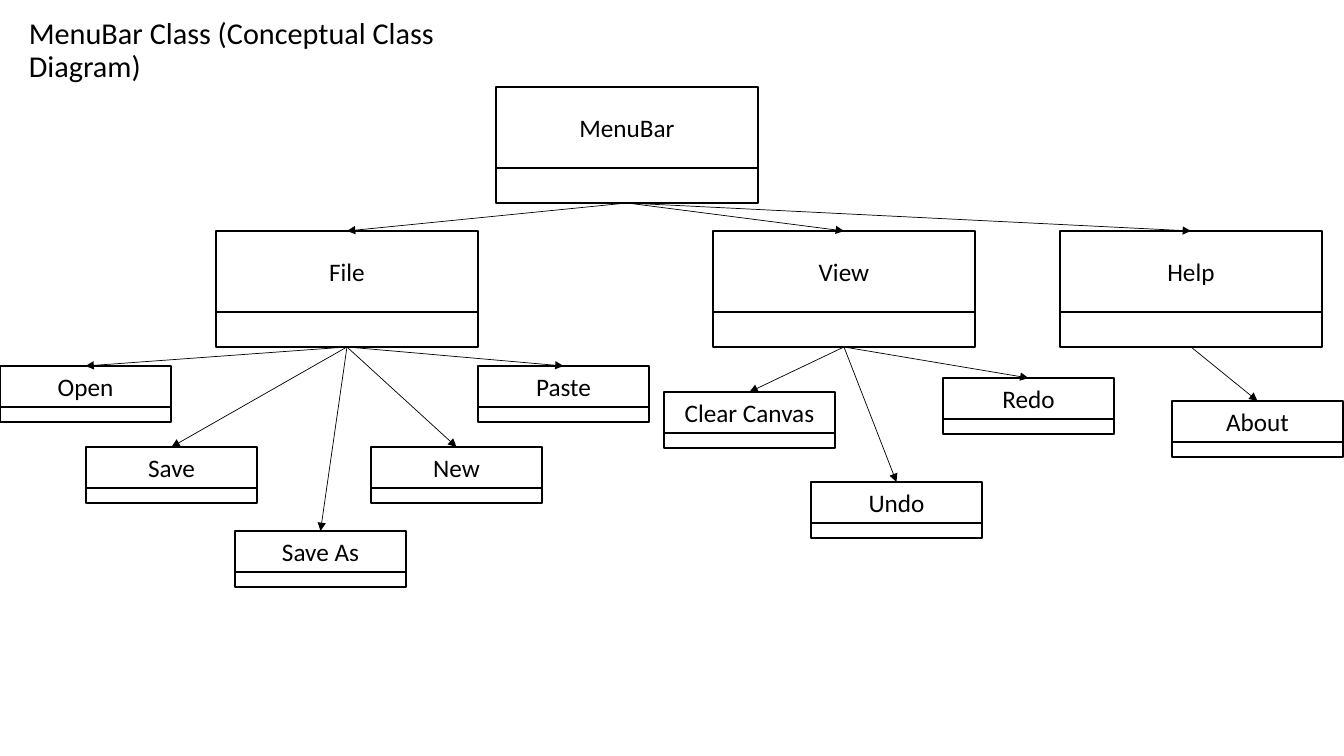
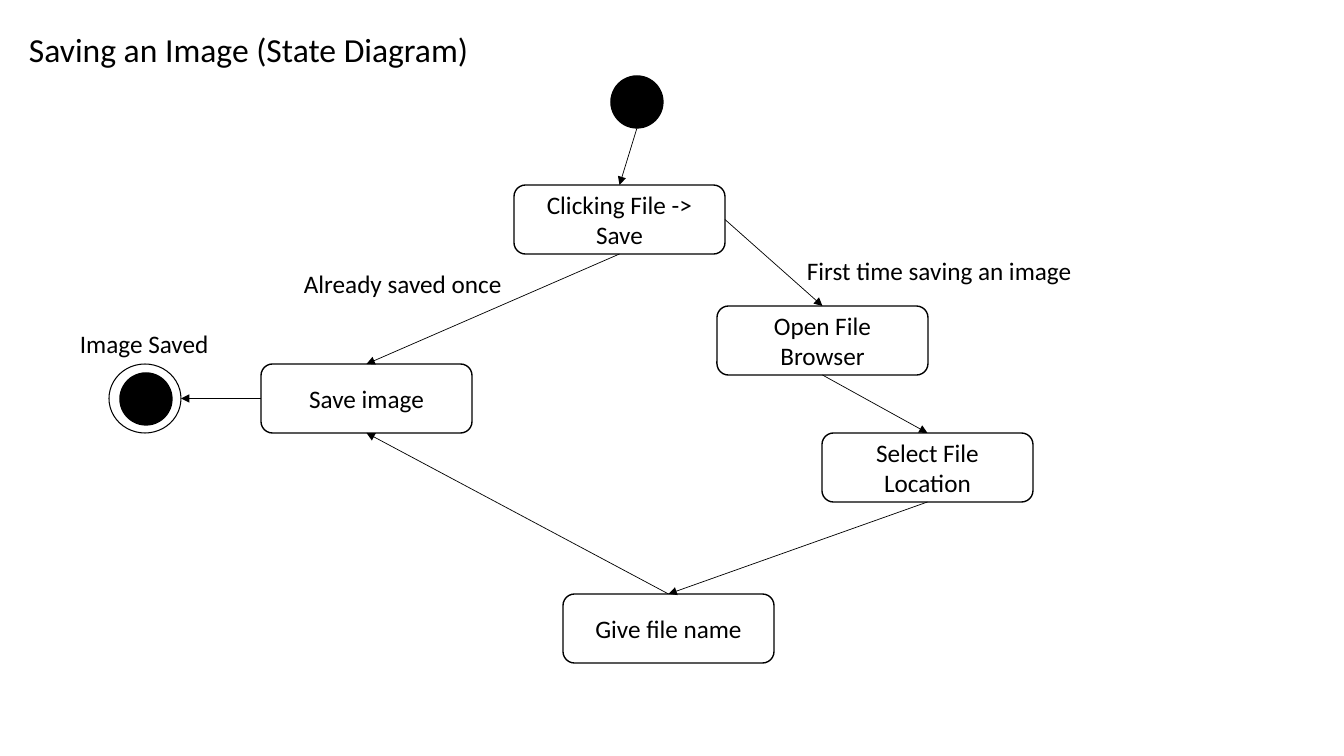
import pptx
import pptx.util
import pptx.dml.color
import pptx.enum.shapes
import pptx.enum.text
import lxml.etree

SCALE = 914400 / 100.8
COLOURS = {"ink": "000000", "paper": "FFFFFF"}
FONT = "Calibri"
TITLE_BOX = (19, 17, 524, 69)
SHAPES = pptx.enum.shapes.MSO_SHAPE
ANCHOR = pptx.enum.text.MSO_ANCHOR
ALIGN = pptx.enum.text.PP_ALIGN

# Class box: width, height of the name part, height of the member part
LARGE = (262, 81, 35)
SMALL = (171, 41, 15)
STATE_SIZE = (211, 69)
DOT = 52

ROOT = ("MenuBar", 496, 87)
MENUS = [
    (("File", 216, 231), [("Open", 0, 366), ("Save", 86, 447), ("Save As", 235, 531),
                          ("New", 371, 447), ("Paste", 478, 366)]),
    (("View", 713, 231), [("Clear Canvas", 664, 392), ("Undo", 811, 482),
                          ("Redo", 943, 378)]),
    (("Help", 1060, 231), [("About", 1172, 401)]),
]

STATES = {
    "click": ("Clicking File -> Save", 514, 185),
    "browse": ("Open File Browser", 717, 306),
    "locate": ("Select File Location", 822, 433),
    "name": ("Give file name", 563, 594),
    "save": ("Save image", 261, 364),
}
TRANSITIONS = [
    ("start", "bottom", "click", "top"),
    ("click", "right", "browse", "top"),
    ("browse", "bottom", "locate", "top"),
    ("locate", "bottom", "name", "top"),
    ("name", "top", "save", "bottom"),
    ("click", "bottom", "save", "top"),
    ("save", "left", "end", "right"),
]
LABELS = [
    ("First time saving an image", (797, 250, 288, 40)),
    ("Already saved once", (294, 263, 221, 40)),
    ("Image Saved", (70, 323, 150, 40)),
]


def emu(pixels):
    """Turn pixels into EMU."""
    return pptx.util.Emu(round(pixels * SCALE))


def rgb(name):
    """Look up a named colour."""
    return pptx.dml.color.RGBColor.from_string(COLOURS[name])


def write(frame, text, size, align=ALIGN.LEFT, anchor=ANCHOR.MIDDLE):
    """Put one styled paragraph into a text frame and return it."""
    frame.text = text
    frame.vertical_anchor = anchor
    para = frame.paragraphs[0]
    para.alignment = align
    for span in para.runs:
        span.font.name = FONT
        span.font.size = pptx.util.Pt(size)
        span.font.color.rgb = rgb("ink")
    return para


def add_title(page, text, size):
    """Add the slide title."""
    frame = page.shapes.add_textbox(*map(emu, TITLE_BOX)).text_frame
    frame.word_wrap = True
    write(frame, text, size).line_spacing = 0.9


def add_label(page, text, box):
    """Add a caption that grows with its text."""
    frame = page.shapes.add_textbox(*map(emu, box)).text_frame
    frame.word_wrap = False
    frame.auto_size = pptx.enum.text.MSO_AUTO_SIZE.SHAPE_TO_FIT_TEXT
    write(frame, text, 18, anchor=ANCHOR.TOP)


def add_figure(page, kind, box, text="", fill="paper", weight=1):
    """Add an outlined shape, with centred text if there is any."""
    shape = page.shapes.add_shape(kind, *map(emu, box))
    shape.shadow.inherit = False
    if fill:
        shape.fill.solid()
        shape.fill.fore_color.rgb = rgb(fill)
    else:
        shape.fill.background()
    shape.line.color.rgb = rgb("ink")
    shape.line.width = pptx.util.Pt(weight)
    if text:
        write(shape.text_frame, text, 18, ALIGN.CENTER)
    return box


def side(box, name):
    """Return the midpoint of one side of a box."""
    left, top, width, height = box
    return {
        "top": (left + width / 2, top),
        "bottom": (left + width / 2, top + height),
        "left": (left, top + height / 2),
        "right": (left + width, top + height / 2),
    }[name]


def add_arrow(page, start, end):
    """Draw a thin arrow between two points."""
    arrow = page.shapes.add_connector(
        pptx.enum.shapes.MSO_CONNECTOR.STRAIGHT, *map(emu, start + end))
    arrow.line.color.rgb = rgb("ink")
    arrow.line.width = pptx.util.Pt(0.5)
    namespace = pptx.oxml.ns.qn
    head = lxml.etree.SubElement(arrow.line._get_or_add_ln(), namespace("a:tailEnd"))
    head.set("type", "triangle")
    lxml.etree.SubElement(arrow._element.spPr, namespace("a:effectLst"))


def add_class(page, entry, size):
    """Add a class box with name and member parts; return its whole box."""
    name, left, top = entry
    width, head, foot = size
    add_figure(page, SHAPES.RECTANGLE, (left, top, width, head), name)
    add_figure(page, SHAPES.RECTANGLE, (left, top + head, width, foot))
    return left, top, width, head + foot


def class_slide(page):
    """Build the class diagram as a tree of three levels."""
    add_title(page, "MenuBar Class (Conceptual Class Diagram)", 21.6)
    root = add_class(page, ROOT, LARGE)
    links = []
    for entry, commands in MENUS:
        menu = add_class(page, entry, LARGE)
        links.append((root, menu))
        links += [(menu, add_class(page, command, SMALL)) for command in commands]
    for parent, child in links:
        add_arrow(page, side(parent, "bottom"), side(child, "top"))


def state_slide(page):
    """Build the state diagram with its start and end marks."""
    add_title(page, "Saving an Image (State Diagram)", 24)
    boxes = {key: add_figure(page, SHAPES.ROUNDED_RECTANGLE, (left, top) + STATE_SIZE, text)
             for key, (text, left, top) in STATES.items()}
    boxes["start"] = add_figure(page, SHAPES.OVAL, (611, 76, DOT, DOT), fill="ink")
    add_figure(page, SHAPES.OVAL, (120, 373, DOT, DOT), fill="ink")
    boxes["end"] = add_figure(page, SHAPES.OVAL, (109, 364, 72, 69), fill=None, weight=0.75)
    for source, leaving, target, entering in TRANSITIONS:
        add_arrow(page, side(boxes[source], leaving), side(boxes[target], entering))
    for text, box in LABELS:
        add_label(page, text, box)


deck = pptx.Presentation()
deck.slide_width, deck.slide_height = emu(1344), emu(756)
for build in (class_slide, state_slide):
    build(deck.slides.add_slide(deck.slide_layouts[6]))
deck.save("out.pptx")
